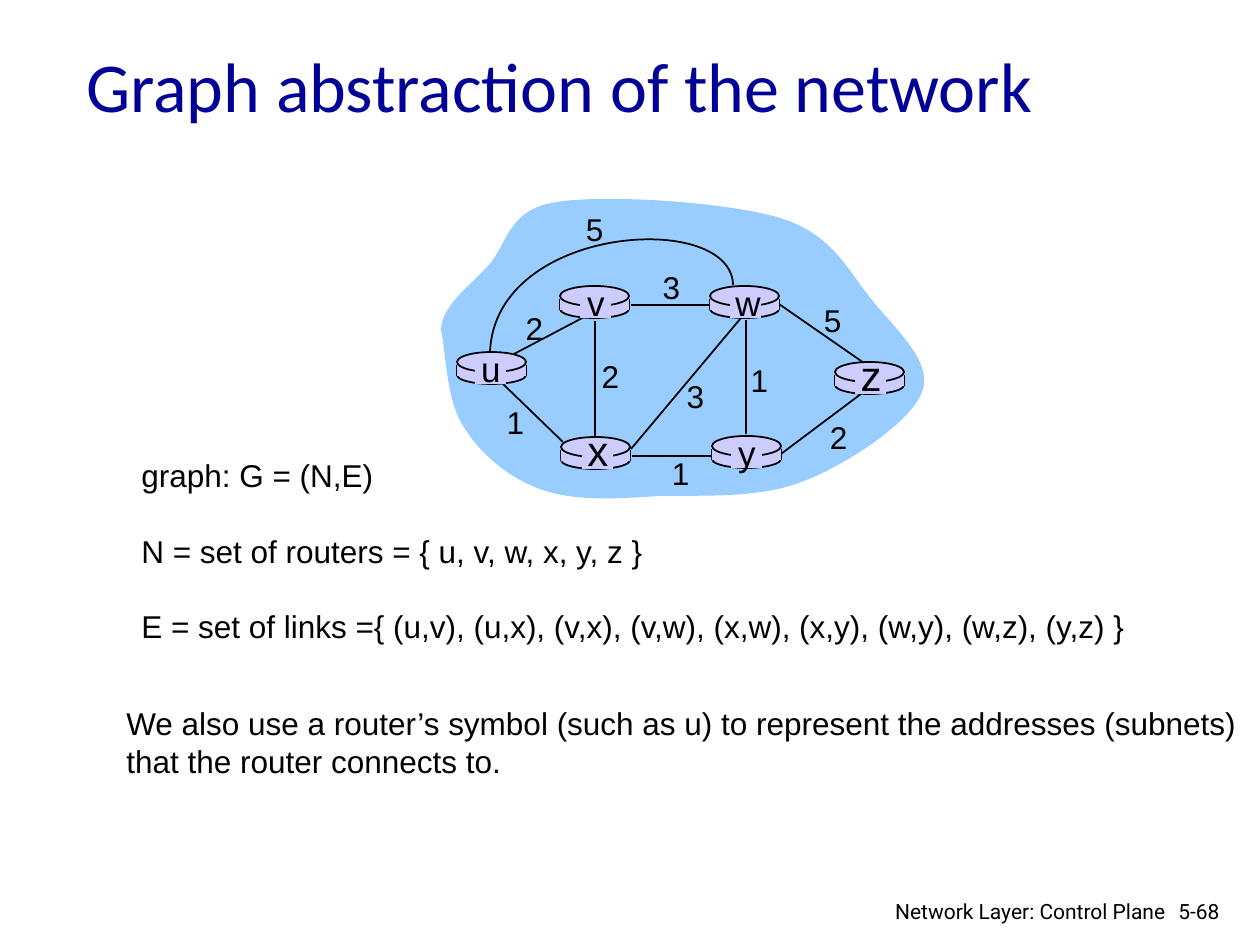
from lxml.etree import SubElement
from pptx import Presentation
from pptx.dml.color import RGBColor
from pptx.enum.shapes import MSO_CONNECTOR as CONNECTOR, MSO_SHAPE as SHAPE
from pptx.enum.text import MSO_ANCHOR as ANCHOR, PP_ALIGN as ALIGN
from pptx.oxml.ns import qn
from pptx.util import Emu, Pt

SCALE = 914400 / 126
COLORS = {"cloud": "99CCFF", "router": "CCCCFF", "ink": "000000", "title": "000099"}
RGB = {name: RGBColor.from_string(value) for name, value in COLORS.items()}

deck = Presentation()
deck.slide_width = Emu(round(1260 * SCALE))
deck.slide_height = Emu(round(945 * SCALE))
page = deck.slides.add_slide(deck.slide_layouts[6])


def to_emu(lengths):
    return [Emu(round(length * SCALE)) for length in lengths]


def write_text(text, frame, size=18, font="Arial", color="ink", align=ALIGN.LEFT,
               wrap=False, anchor=ANCHOR.TOP, pitch=None, gap=0):
    box = page.shapes.add_textbox(*to_emu(frame))
    box.text_frame.word_wrap = wrap
    box.text_frame.vertical_anchor = anchor
    for index, line in enumerate(text.split("\n")):
        para = box.text_frame.paragraphs[0] if index == 0 else box.text_frame.add_paragraph()
        para.alignment = align
        if pitch:
            para.line_spacing = Pt(pitch)
        if index and gap:
            para.space_before = Pt(gap)
        span = para.add_run()
        span.text = line
        span.font.size = Pt(size)
        span.font.name = font
        span.font.color.rgb = RGB[color]


cloud = [
    (441, 330), (442, 305), (470, 286), (489, 265), (508, 243), (508, 209), (557, 202),
    (605, 194), (728, 202), (780, 218), (833, 234), (848, 271), (872, 300),
    (895, 329), (934, 362), (922, 392), (911, 422), (848, 464), (804, 481),
    (760, 499), (702, 495), (658, 496), (615, 499), (575, 501), (543, 490),
    (510, 479), (480, 454), (464, 427), (446, 401), (446, 350), (441, 330),
]
link_u_w = [(733, 285), (732, 210), (495, 224), (490, 352)]
for knots, closed in ((cloud, True), (link_u_w, False)):
    start, *points = [to_emu(knot) for knot in knots]
    outline = page.shapes.build_freeform(*start)
    outline.add_line_segments(points, close=closed)
    curve = outline.convert_to_shape()
    segments = list(curve._element.iter(qn("a:lnTo")))
    for first in range(0, len(segments), 3):
        bend = segments[first]
        bend.tag = qn("a:cubicBezTo")
        for segment in segments[first + 1:first + 3]:
            bend.append(segment[0])
            segment.getparent().remove(segment)
    curve.shadow.inherit = False
    if closed:
        curve.fill.solid()
        curve.fill.fore_color.rgb = RGB["cloud"]
        curve.line.fill.background()
    else:
        curve.fill.background()
        curve.line.color.rgb = RGB["ink"]
        curve.line.width = Pt(1)

routers = [
    ("u", 457, 352, 491, 20), ("x", 561, 437, 598, 24), ("v", 560, 286, 596, 20),
    ("w", 710, 286, 746, 20), ("y", 712, 436, 747, 20), ("z", 835, 362, 871, 24),
]
links = [
    (514, 354, 590, 314), (746, 320, 746, 434), (595, 321, 595, 438),
    (631, 449, 741, 318), (781, 454, 861, 394), (712, 456, 632, 456),
    (563, 442, 503, 384), (711, 305, 631, 305), (864, 363, 779, 304),
]
rims = [
    (side, top + 13, side, top + 24)
    for name, left, top, middle, size in routers for side in (left, left + 69)
]
for ends in links + rims:
    line = page.shapes.add_connector(CONNECTOR.STRAIGHT, *to_emu(ends))
    line.line.color.rgb = RGB["ink"]
    line.line.width = Pt(1)
    SubElement(line._element.spPr, qn("a:effectLst"))

for name, left, top, middle, size in routers:
    parts = [
        (SHAPE.OVAL, left, top + 14, 69, 18),
        (SHAPE.RECTANGLE, left, top + 13, 69, 11),
        (SHAPE.OVAL, left, top, 69, 20),
        (SHAPE.RECTANGLE, middle - 16, top + 3, 31, 29),
    ]
    for kind, *frame in parts:
        part = page.shapes.add_shape(kind, *to_emu(frame))
        part.shadow.inherit = False
        part.fill.solid()
        part.fill.fore_color.rgb = RGB["router"]
        if kind == SHAPE.OVAL:
            part.line.color.rgb = RGB["ink"]
            part.line.width = Pt(1)
        else:
            part.line.fill.background()
    label_top = top - (11 if size == 20 else 19)
    write_text(name, (middle - 23, label_top, 46, 54), size=size,
               align=ALIGN.CENTER, pitch=size * 1.2)

costs = [
    ("2", 513, 303), ("2", 589, 351), ("1", 494, 397), ("3", 674, 371), ("1", 659, 448),
    ("1", 738, 355), ("2", 817, 412), ("5", 811, 295), ("3", 650, 262), ("5", 573, 204),
]
for cost, left, top in costs:
    write_text(cost, (left, top, 43, 50), align=ALIGN.CENTER, pitch=21.6)

write_text(
    "graph: G = (N,E)\n"
    "N = set of routers = { u, v, w, x, y, z }\n"
    "E = set of links ={ (u,v), (u,x), (v,x), (v,w), (x,w), (x,y), (w,y), (w,z), (y,z) }",
    (129, 450, 1019, 202), pitch=21.6, gap=21.6)
write_text("Graph abstraction of the network", (74, 29, 1071, 110), size=40,
           font="Calibri", color="title", wrap=True, anchor=ANCHOR.MIDDLE)
write_text("5-68", (1166, 892, 76, 38), size=12, font="Roboto", wrap=True)
write_text("Network Layer: Control Plane", (878, 892, 300, 33), size=12, font="Roboto",
           align=ALIGN.RIGHT, wrap=True)
write_text(
    "We also use a router’s symbol (such as u) to represent the addresses (subnets)\n"
    "that the router connects to.",
    (114, 698, 1145, 89), pitch=21.6)

deck.save("out.pptx")
